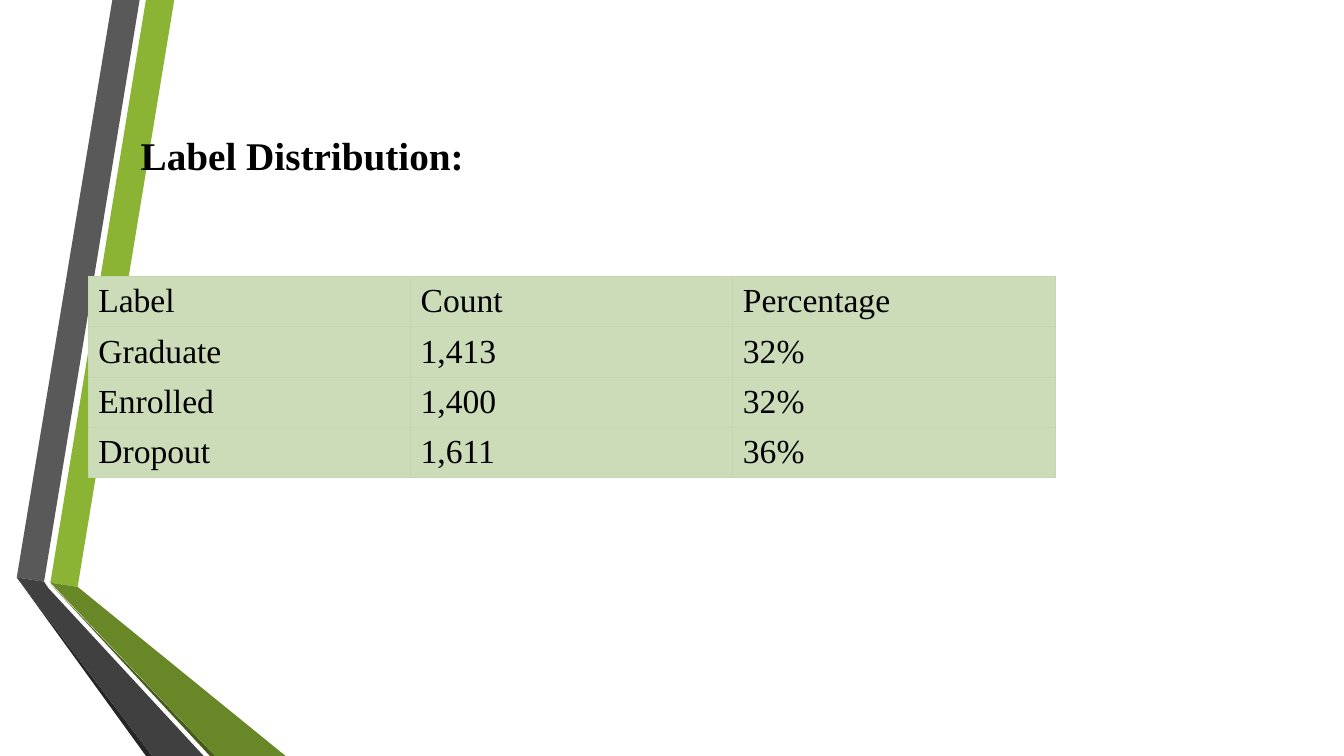
"""Build the label distribution slide with its table and ribbon decoration."""
from lxml.etree import SubElement
from pptx import Presentation
from pptx.dml.color import RGBColor
from pptx.enum.text import MSO_ANCHOR
from pptx.oxml.ns import qn
from pptx.util import Pt

PX = 9525
FONT = "Times New Roman"
COLORS = {
    "lime": "8BB434",
    "grey": "595959",
    "black": "262626",
    "olive": "465A1A",
    "green": "688727",
    "charcoal": "404040",
    "cell": "CCDBB8",
    "border": "C4D6AE",
    "text": "000000",
}
RIBBONS = [
    ("lime", [(48, 555), (74, 559), (166, 0), (139, 0)]),
    ("grey", [(133, 0), (107, 0), (16, 550), (42, 554)]),
    ("black", [(16, 550), (139, 720), (145, 720)]),
    ("olive", [(48, 556), (200, 720), (205, 720)]),
    ("green", [(48, 555), (205, 720), (272, 720), (74, 559)]),
    ("charcoal", [(194, 720), (46, 560), (42, 554), (16, 550), (145, 720)]),
]
ROWS = [
    ("Label", "Count", "Percentage"),
    ("Graduate", "1,413", "32%"),
    ("Enrolled", "1,400", "32%"),
    ("Dropout", "1,611", "36%"),
]


def style_text(paragraph, size, bold=False):
    for span in paragraph.runs:
        span.font.name = FONT
        span.font.size = Pt(size)
        span.font.bold = bold
        span.font.color.rgb = RGBColor.from_string(COLORS["text"])


def add_borders(cell):
    properties = cell._tc.get_or_add_tcPr()
    for side in ("lnL", "lnR", "lnT", "lnB"):
        line = SubElement(properties, qn(f"a:{side}"), w=str(Pt(0.75)))
        fill = SubElement(line, qn("a:solidFill"))
        SubElement(fill, qn("a:srgbClr"), val=COLORS["border"])


deck = Presentation()
deck.slide_width = 1280 * PX
deck.slide_height = 720 * PX
page = deck.slides.add_slide(deck.slide_layouts[6])

for color, points in RIBBONS:
    builder = page.shapes.build_freeform(*points[0], scale=PX)
    builder.add_line_segments(points[1:], close=True)
    ribbon = builder.convert_to_shape()
    ribbon.shadow.inherit = False
    ribbon.fill.solid()
    ribbon.fill.fore_color.rgb = RGBColor.from_string(COLORS[color])
    ribbon.line.fill.background()

frame = page.shapes.add_table(
    len(ROWS), len(ROWS[0]), 84 * PX, 263 * PX, 921 * PX, 192 * PX
)
table = frame.table
for column in table.columns:
    column.width = 307 * PX
for row, values in zip(table.rows, ROWS):
    row.height = 48 * PX
    for cell, value in zip(row.cells, values):
        cell.text_frame.text = value
        cell.vertical_anchor = MSO_ANCHOR.MIDDLE
        add_borders(cell)
        cell.fill.solid()
        cell.fill.fore_color.rgb = RGBColor.from_string(COLORS["cell"])
        style_text(cell.text_frame.paragraphs[0], 24)

box = page.shapes.add_textbox(76 * PX, 33 * PX, 640 * PX, 142 * PX)
heading = box.text_frame
heading.word_wrap = True
heading.vertical_anchor = MSO_ANCHOR.BOTTOM
heading.margin_left = 58 * PX
heading.text = "Label Distribution:"
style_text(heading.paragraphs[0], 28, bold=True)

deck.save("out.pptx")
